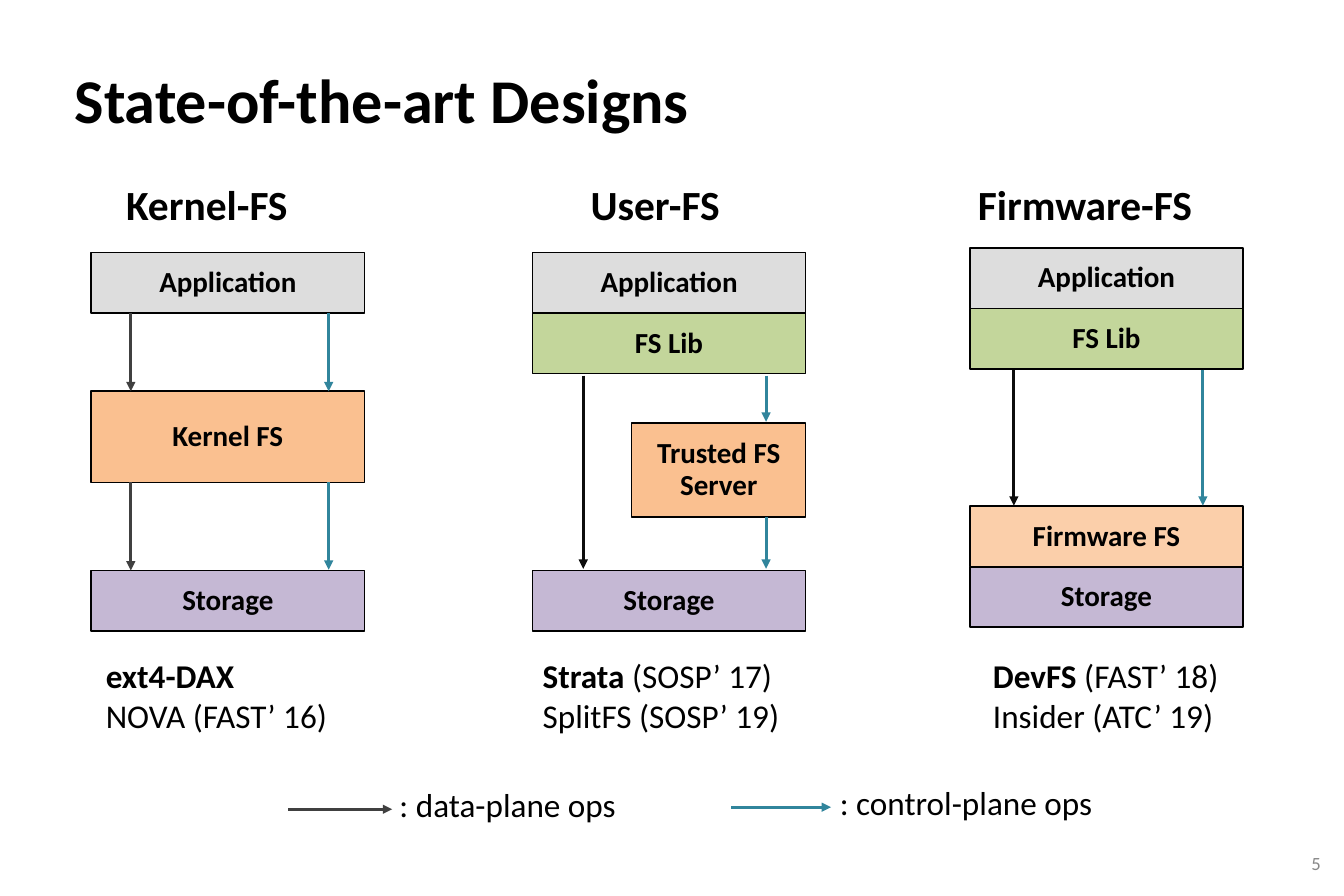
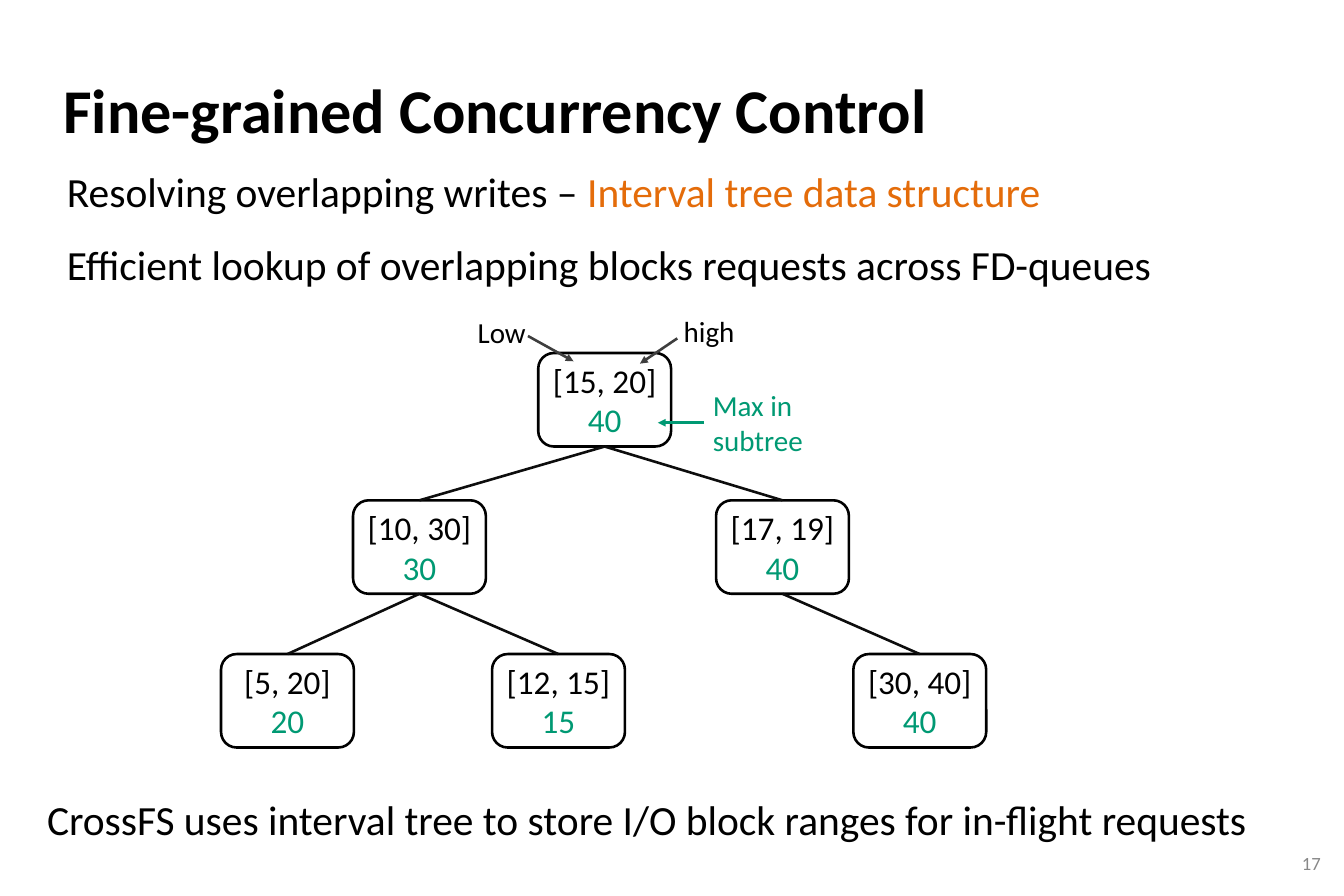
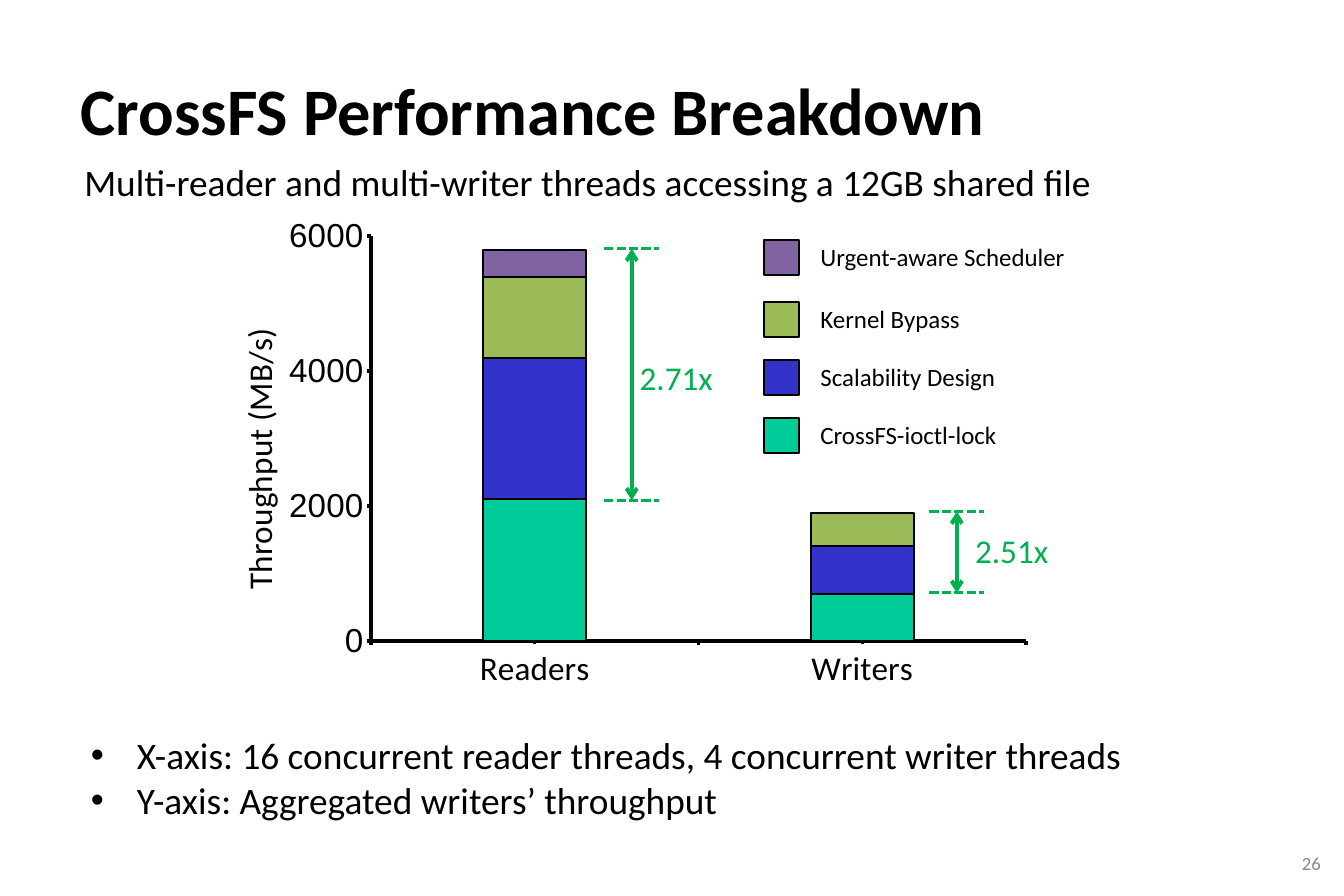
from lxml import etree
from pptx import Presentation
from pptx.chart.data import CategoryChartData
from pptx.dml.color import RGBColor
from pptx.enum.chart import XL_CHART_TYPE, XL_TICK_MARK
from pptx.enum.dml import MSO_LINE
from pptx.enum.shapes import MSO_CONNECTOR, MSO_SHAPE
from pptx.enum.text import MSO_ANCHOR, PP_ALIGN
from pptx.oxml.ns import qn
from pptx.util import Cm, Pt

LEFT, CENTER, RIGHT = PP_ALIGN.LEFT, PP_ALIGN.CENTER, PP_ALIGN.RIGHT
TOP, MIDDLE = MSO_ANCHOR.TOP, MSO_ANCHOR.MIDDLE
RECT, ROUNDED = MSO_SHAPE.RECTANGLE, MSO_SHAPE.ROUNDED_RECTANGLE
STRAIGHT, DASH = MSO_CONNECTOR.STRAIGHT, MSO_LINE.SQUARE_DOT
STACKED, OUTSIDE = XL_CHART_TYPE.COLUMN_STACKED, XL_TICK_MARK.OUTSIDE

FONT = "Calibri"
BLACK, NEAR_BLACK, DARK, GRAY = "000000", "0D0D0D", "404040", "888888"
TEAL, GREEN, GAIN, ORANGE = "31859C", "009973", "00B050", "E46C0A"
APP, LIBRARY, KERNEL, STORAGE = "DDDDDD", "C3D69B", "FAC090", "B3A2C7"
color = RGBColor.from_string


def add_box(page, place, paragraphs, size, bold=False, align=LEFT, anchor=TOP,
            margins=(0.25, 0.13), spacing=None, bullet=False,
            kind=None, fill=None, opacity=100, width=2):
    """Add a text box, or a shape of some kind; each paragraph is a list of
    (text, colour) or (text, colour, bold) runs."""
    place = [Cm(length) for length in place]
    if kind is None:
        box = page.shapes.add_textbox(*place)
    else:
        box = page.shapes.add_shape(kind, *place)
        box.shadow.inherit = False
        box.line.color.rgb = color(BLACK)
        box.line.width = Pt(width)
        if fill:
            box.fill.solid()
            box.fill.fore_color.rgb = color(fill)
            if opacity < 100:
                tone = box.fill._xPr.find(qn("a:solidFill"))[0]
                etree.SubElement(tone, qn("a:alpha"), val=str(opacity * 1000))
        else:
            box.fill.background()
    frame = box.text_frame
    frame.word_wrap = True
    frame.vertical_anchor = anchor
    frame.margin_left = frame.margin_right = Cm(margins[0])
    frame.margin_top = frame.margin_bottom = Cm(margins[1])
    for index, runs in enumerate(paragraphs):
        para = frame.add_paragraph() if index else frame.paragraphs[0]
        para.alignment = align
        if spacing:
            para.line_spacing = spacing
        if bullet:
            settings = para._p.get_or_add_pPr()
            settings.set("marL", str(Cm(1.57)))
            settings.set("indent", str(-Cm(1.57)))
            etree.SubElement(settings, qn("a:buFont"), typeface="Arial")
            etree.SubElement(settings, qn("a:buChar"), char="•")
        for text, tint, *own_bold in runs:
            span = para.add_run()
            span.text = text
            span.font.name = FONT
            span.font.size = Pt(size)
            span.font.bold = own_bold[0] if own_bold else bold
            span.font.color.rgb = color(tint)
    return box


def add_line(page, points, tint, width, head=None, tail=None, dash=None):
    """Add a straight line; head and tail name the arrowheads at its ends."""
    line = page.shapes.add_connector(STRAIGHT, *[Cm(value) for value in points])
    line.line.color.rgb = color(tint)
    line.line.width = Pt(width)
    if dash:
        line.line.dash_style = dash
    outline = line.line._get_or_add_ln()
    for tag, arrow in (("a:headEnd", head), ("a:tailEnd", tail)):
        if arrow:
            etree.SubElement(outline, qn(tag), type=arrow)
    etree.SubElement(line._element.spPr, qn("a:effectLst"))
    return line


deck = Presentation()
deck.slide_width, deck.slide_height = Cm(45.72), Cm(30.48)

# Titles and page numbers
pages = []
for title, left, top, size, number in (
        ("State-of-the-art Designs", 2.41, 0.91, 60, "5"),
        ("Fine-grained Concurrency Control", 2.03, 1.24, 60, "17"),
        ("CrossFS Performance Breakdown", 2.62, 1.12, 64, "26")):
    page = deck.slides.add_slide(deck.slide_layouts[6])
    add_box(page, (left, top, 40.1, 3.4), [[(title, BLACK)]], size, bold=True,
            margins=(0.13, 0.13), spacing=1.41)
    add_box(page, (43.99, 28.83, 1.09, 1.07), [[(number, GRAY)]], 18,
            align=RIGHT, anchor=MIDDLE, margins=(0.15, 0.15))
    pages.append(page)
designs, tree, results = pages

# Designs: layers as (text, left, top, width, height, fill, opacity)
WIDE, LAYER = 9.3, 2.06
FIRST, SECOND, THIRD = 3.1, 18.11, 32.99
for text, left, top, width, height, fill, opacity in (
        ("Application", FIRST, 8.59, WIDE, LAYER, APP, 100),
        ("Kernel FS", FIRST, 13.31, WIDE, 3.1, KERNEL, 100),
        ("Storage", FIRST, 19.41, WIDE, LAYER, STORAGE, 76),
        ("Application", SECOND, 8.59, WIDE, LAYER, APP, 100),
        ("FS Lib", SECOND, 8.59 + LAYER, WIDE, LAYER, LIBRARY, 100),
        ("Trusted FS Server", 21.49, 14.4, 5.92, 3.18, KERNEL, 100),
        ("Storage", SECOND, 19.41, WIDE, LAYER, STORAGE, 76),
        ("Application", THIRD, 8.43, WIDE, LAYER, APP, 100),
        ("FS Lib", THIRD, 8.43 + LAYER, WIDE, LAYER, LIBRARY, 100),
        ("Firmware FS", THIRD, 19.28 - LAYER, WIDE, LAYER, KERNEL, 76),
        ("Storage", THIRD, 19.28, WIDE, LAYER, STORAGE, 76)):
    add_box(designs, (left, top, width, height), [[(text, BLACK)]], 28,
            bold=True, align=CENTER, anchor=MIDDLE, margins=(0.13, 0),
            spacing=0.93, kind=RECT, fill=fill, opacity=opacity, width=1.5)

# Designs: arrows between layers
for x, start, end, tint in (
        (4.45, 10.64, 13.31, DARK), (4.45, 16.41, 19.41, DARK),
        (11.18, 10.64, 13.31, TEAL), (11.18, 16.41, 19.38, TEAL),
        (19.84, 12.78, 19.35, NEAR_BLACK),
        (26.06, 12.78, 14.35, TEAL), (26.06, 17.6, 19.35, TEAL),
        (34.49, 12.57, 17.2, NEAR_BLACK), (40.92, 12.57, 17.2, TEAL)):
    add_line(designs, (x, start, x, end), tint, 3, tail="triangle")

# Designs: headings and example systems
for heading, heading_left, examples_left, examples in (
        ("Kernel-FS", 4.04, 3.35,
         [[("ext4-DAX", BLACK, True)], [("NOVA (FAST’ 16)", BLACK)]]),
        ("User-FS", 19.84, 18.21,
         [[("Strata", BLACK, True), (" (SOSP’ 17)", BLACK)],
          [("SplitFS (SOSP’ 19)", BLACK)]]),
        ("Firmware-FS", 33.02, 33.53,
         [[("DevFS", BLACK, True), (" (FAST’ 18)", BLACK)],
          [("Insider (ATC’ 19)", BLACK)]])):
    add_box(designs, (heading_left, 5.97, 9.25, 1.96), [[(heading, BLACK)]],
            40, bold=True)
    add_box(designs, (examples_left, 22.17, WIDE, 3), examples, 32)

# Designs: arrow key
for text, start, end, y, text_left, tint in (
        (": data-plane ops", 9.8, 13.34, 27.53, 13.34, DARK),
        (": control-plane ops", 24.87, 28.27, 27.46, 28.32, TEAL)):
    add_line(designs, (start, y, end, y), tint, 3, tail="triangle")
    add_box(designs, (text_left, y - 0.97, WIDE, 1.63), [[(text, BLACK)]], 32)

# Tree: statements
for left, top, width, runs in (
        (2.03, 5.51, 40.8, [("Resolving overlapping writes – ", BLACK),
                            ("Interval tree data structure", ORANGE)]),
        (2.03, 8, 40.8, [("Efficient lookup of overlapping blocks requests "
                          "across FD-queues", BLACK)]),
        (1.35, 26.87, 42.65, [("CrossFS uses interval tree to store I/O block "
                               "ranges for in-flight requests", BLACK)])):
    add_box(tree, (left, top, width, 1.96), [runs], 40)

# Tree: nodes, each joined to its parent
nodes = {}
for interval, highest, left, top, parent in (
        ("[15, 20]", "40", 18.31, 12.01, None),
        ("[10, 30]", "30", 12.01, 17.02, "[15, 20]"),
        ("[17, 19]", "40", 24.36, 17.02, "[15, 20]"),
        ("[5, 20]", "20", 7.52, 22.25, "[10, 30]"),
        ("[12, 15]", "15", 16.74, 22.25, "[10, 30]"),
        ("[30, 40]", "40", 29.03, 22.25, "[17, 19]")):
    nodes[interval] = add_box(
        tree, (left, top, 4.52, 3.18), [[(interval, BLACK)], [(highest, GREEN)]],
        32, align=CENTER, anchor=MIDDLE, kind=ROUNDED, width=2.5)
    if parent:
        branch = add_line(tree, (0, 0, 1, 1), NEAR_BLACK, 2.5)
        branch.begin_connect(nodes[parent], 2)
        branch.end_connect(nodes[interval], 0)

# Tree: labels of the root
for text, place, points, text_tint, arrow_tint in (
        ("Low", (16, 10.57, 2.41, 1.45), (17.96, 11.43, 19.51, 12.29),
         BLACK, "3E3E3E"),
        ("high", (23.01, 10.54, 2.41, 1.45), (23.04, 11.51, 21.77, 12.37),
         BLACK, "3E3E3E"),
        ("Max in subtree", (24, 13.06, 3.78, 2.64), (23.95, 14.38, 22.38, 14.38),
         GREEN, GREEN)):
    add_box(tree, place, [[(text, text_tint)]], 28)
    add_line(tree, points, arrow_tint, 2.5, tail="triangle")

# Results: subtitle and axis notes
add_box(results, (2.62, 5.28, 39.65, 1.8),
        [[("Multi-reader and multi-writer threads accessing a 12GB shared file",
           BLACK)]], 36)
add_box(results, (2.84, 24.79, 39.65, 3.33),
        [[("X-axis: 16 concurrent reader threads, 4 concurrent writer threads",
           BLACK)],
         [("Y-axis: Aggregated writers’ throughput", BLACK)]], 36, bullet=True)

# Results: stacked columns
parts = (("CrossFS-ioctl-lock", (2100, 700), "00CC99", 14.15),
         ("Scalability Design", (2100, 700), "3333CC", 12.17),
         ("Kernel Bypass", (1200, 500), "9BBB59", 10.19),
         ("Urgent-aware Scheduler", (400, 0), "8064A2", 8.1))
data = CategoryChartData()
data.categories = ["Readers", "Writers"]
for name, values, fill, top in parts:
    data.add_series(name, values)
chart = results.shapes.add_chart(STACKED, Cm(7.26), Cm(7.09), Cm(28.5),
                                 Cm(16.89), data).chart
chart.has_legend = chart.has_title = False
chart.font.name, chart.font.size = "Arial", Pt(10)
plot = chart.plots[0]
plot.gap_width, plot.overlap, plot.vary_by_categories = 219, 100, False
for series, (name, values, fill, top) in zip(plot.series, parts):
    series.format.fill.solid()
    series.format.fill.fore_color.rgb = color(fill)
    series.format.line.color.rgb = color(BLACK)
    series.format.line.width = Pt(2)

for axis, font in ((chart.category_axis, FONT), (chart.value_axis, "Arial")):
    axis.has_major_gridlines = False
    axis.major_tick_mark = OUTSIDE
    axis.format.line.color.rgb = color(BLACK)
    axis.format.line.width = Pt(3.25)
    axis.tick_labels.font.name = font
    axis.tick_labels.font.size = Pt(32)
    axis.tick_labels.font.color.rgb = color(BLACK)
chart.category_axis.minor_tick_mark = OUTSIDE
scale = chart.value_axis
scale.minimum_scale, scale.maximum_scale, scale.major_unit = 0, 6000, 2000
span = scale.axis_title.text_frame.paragraphs[0].add_run()
span.text = "Throughput (MB/s)"
span.font.name, span.font.size, span.font.bold = FONT, Pt(32), False
span.font.color.rgb = color(BLACK)

# Results: fixed places of the plot area and the axis title
axis_title = scale.axis_title._element
turned = next(axis_title.iter(qn("a:bodyPr")))
turned.set("rot", "-5400000")
turned.set("vert", "horz")
plot_area = next(chart._chartSpace.iter(qn("c:plotArea")))
for holder, position, settings in (
        (plot_area, 0, {"layoutTarget": "inner", "xMode": "edge", "yMode": "edge",
                        "x": "0.188", "y": "0.056", "w": "0.782", "h": "0.815"}),
        (axis_title, 1, {"xMode": "edge", "yMode": "edge",
                         "x": "0.02", "y": "0.23"})):
    for old in holder.findall(qn("c:layout")):
        holder.remove(old)
    layout = etree.Element(qn("c:layout"))
    manual = etree.SubElement(layout, qn("c:manualLayout"))
    for tag, value in settings.items():
        etree.SubElement(manual, qn("c:" + tag), val=value)
    holder.insert(position, layout)

# Results: colour key
for name, values, fill, top in parts:
    add_box(results, (25.98, top + 0.08, 1.19, 1.19), [], 24, kind=RECT, fill=fill)
    add_box(results, (27.66, top, 9.65, 1.27), [[(name, BLACK)]], 24)

# Results: gains beside the columns
for text, left, top, bottom, text_left, text_top in (
        ("2.71x", 20.55, 8.46, 17.02, 21.51, 12.01),
        ("2.51x", 31.61, 17.4, 20.17, 32.92, 17.91)):
    for y in (top, bottom):
        add_line(results, (left, y, left + 1.88, y), GAIN, 3, dash=DASH)
    middle = left + 0.94
    add_line(results, (middle, top, middle, bottom), GAIN, 3.75,
             head="arrow", tail="arrow")
    add_box(results, (text_left, text_top, 3.6, 1.63), [[(text, GAIN)]], 32)

deck.save("out.pptx")
